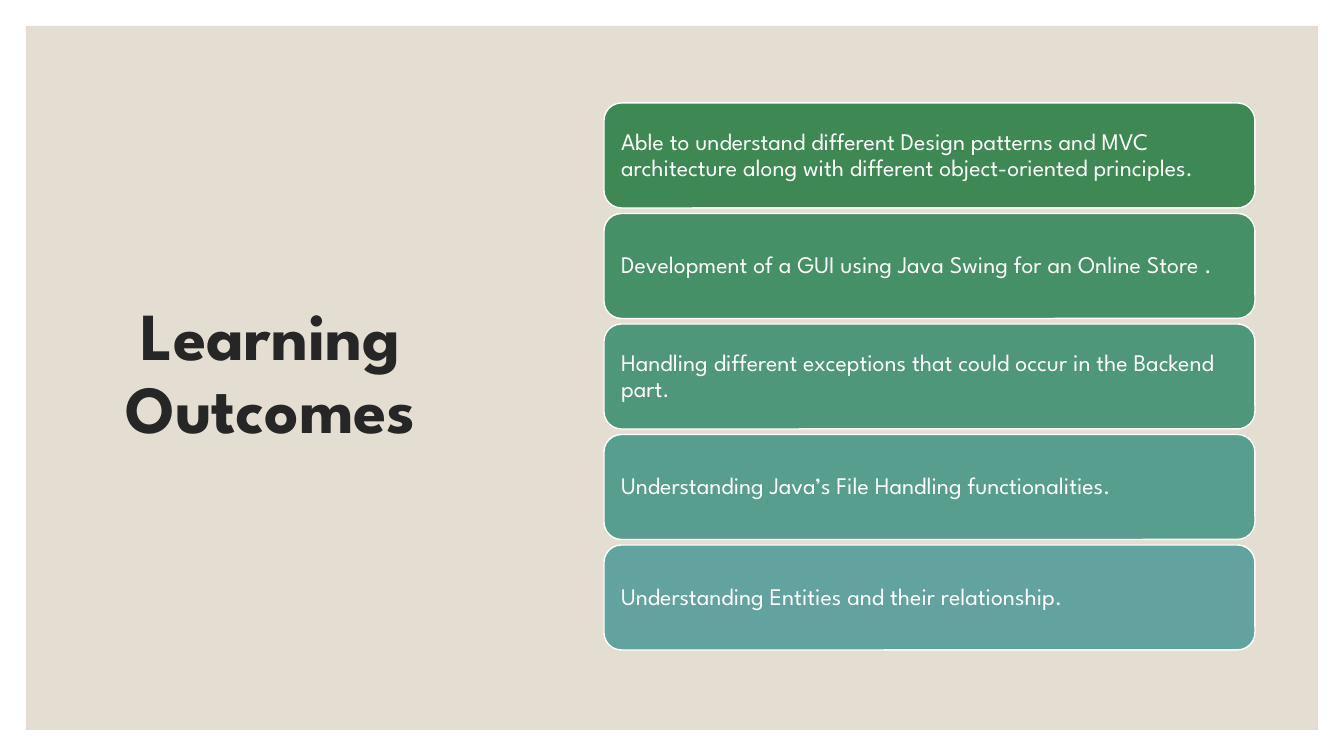
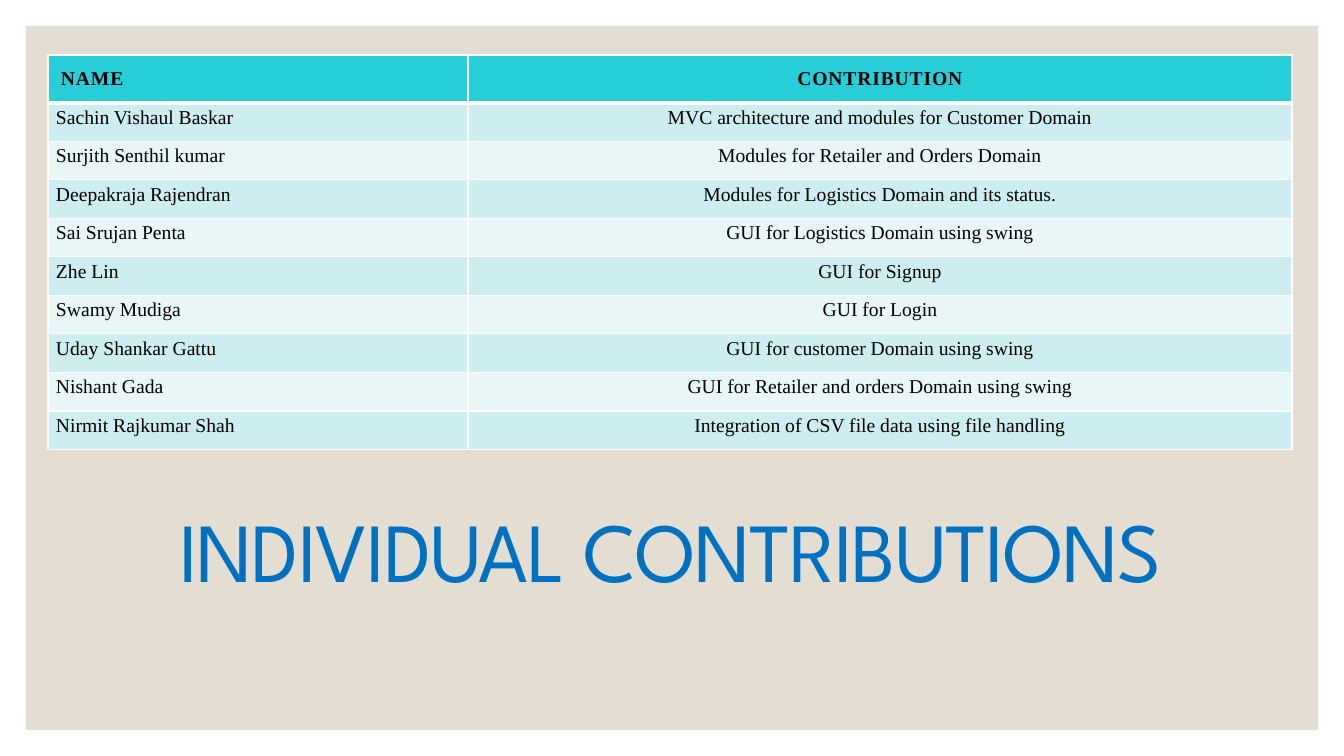
import dataclasses

import pptx
import pptx.dml.color
import pptx.enum.shapes
import pptx.enum.text
import pptx.oxml
import pptx.oxml.ns
import pptx.util

EMU_PER_PIXEL = 914400 / 100.8
ALIGN = pptx.enum.text.PP_ALIGN
ANCHOR = pptx.enum.text.MSO_ANCHOR


@dataclasses.dataclass(frozen=True)
class Theme:
    display_font: str = "League Spartan"
    table_font: str = "Times New Roman"
    paper: str = "E3DED1"
    white: str = "FFFFFF"
    black: str = "000000"
    title_dark: str = "262626"
    title_blue: str = "0070C0"
    bars: tuple = ("3E8853", "469067", "4E977B", "579E8E", "62A39F")
    table_header: str = "27CED7"
    table_bands: tuple = ("CDEDF0", "E8F6F8")
    title_size: int = 48
    banner_size: int = 60
    bar_size: int = 17
    table_size: int = 14


def pixels(value):
    return pptx.util.Emu(round(value * EMU_PER_PIXEL))


def rgb(value):
    return pptx.dml.color.RGBColor.from_string(value)


def write_text(frame, text, *, size, color, font, bold=False, align=ALIGN.LEFT,
               line_spacing=1.0, space_after=0, tracking=0):
    frame.word_wrap = True
    paragraph = frame.paragraphs[0]
    paragraph.alignment = align
    paragraph.line_spacing = line_spacing
    paragraph.space_after = pptx.util.Pt(space_after)
    run = paragraph.add_run()
    run.text = text
    run.font.name = font
    run.font.size = pptx.util.Pt(size)
    run.font.bold = bold
    run.font.color.rgb = rgb(color)
    if tracking:
        run.font._element.set("spc", str(round(tracking * 100)))


def set_margins(target, left, top, right, bottom):
    target.margin_left, target.margin_top = pixels(left), pixels(top)
    target.margin_right, target.margin_bottom = pixels(right), pixels(bottom)


def set_borders(cell, color, bottom_width=1):
    widths = {"lnL": 1, "lnR": 1, "lnT": 1, "lnB": bottom_width}
    properties = cell._tc.get_or_add_tcPr()
    for position, (side, width) in enumerate(widths.items()):
        properties.insert(position, pptx.oxml.parse_xml(
            f'<a:{side} {pptx.oxml.ns.nsdecls("a")} w="{pptx.util.Pt(width)}">'
            f'<a:solidFill><a:srgbClr val="{color}"/></a:solidFill></a:{side}>'))


class Deck:
    def __init__(self, theme):
        self.theme = theme
        self.presentation = pptx.Presentation()
        self.presentation.slide_width = pixels(1344)
        self.presentation.slide_height = pixels(756)
        self.slide = None

    def add_slide(self):
        layout = self.presentation.slide_layouts.get_by_name("Title Only")
        self.slide = self.presentation.slides.add_slide(layout)

    def add_master_band(self, left, top, width, height):
        band = self.add_box(left, top, width, height, fill=self.theme.paper)
        self.presentation.slide_master.shapes.element.insert(2, band.element)

    def add_title(self, text, left, top, width, height, **text_format):
        title = self.slide.shapes.title
        title.left, title.top = pixels(left), pixels(top)
        title.width, title.height = pixels(width), pixels(height)
        frame = title.text_frame
        frame.auto_size = pptx.enum.text.MSO_AUTO_SIZE.NONE
        frame.vertical_anchor = ANCHOR.MIDDLE
        write_text(frame, text, font=self.theme.display_font,
                   align=ALIGN.CENTER, space_after=6, **text_format)

    def add_box(self, left, top, width, height, fill, line=None, rounded=False):
        presets = pptx.enum.shapes.MSO_SHAPE
        preset = presets.ROUNDED_RECTANGLE if rounded else presets.RECTANGLE
        shape = self.slide.shapes.add_shape(
            preset, pixels(left), pixels(top), pixels(width), pixels(height))
        shape.shadow.inherit = False
        shape.fill.solid()
        shape.fill.fore_color.rgb = rgb(fill)
        if line:
            shape.line.color.rgb = rgb(line)
            shape.line.width = pptx.util.Pt(1)
        else:
            shape.line.fill.background()
        return shape

    def add_bars(self, texts, left, top, width, height, bar_height):
        pitch = (height - bar_height) / (len(texts) - 1)
        for index, (text, fill) in enumerate(zip(texts, self.theme.bars)):
            bar = self.add_box(left, top + index * pitch, width, bar_height,
                               fill=fill, line=self.theme.white, rounded=True)
            frame = bar.text_frame
            frame.vertical_anchor = ANCHOR.MIDDLE
            set_margins(frame, 12, 12, 12, 12)
            write_text(frame, text, size=self.theme.bar_size, color=self.theme.white,
                       font=self.theme.display_font, line_spacing=0.9)

    def add_table(self, rows, left, top, column_widths, height, header_height):
        theme = self.theme
        table = self.slide.shapes.add_table(
            len(rows), len(column_widths), pixels(left), pixels(top),
            pixels(sum(column_widths)), pixels(height)).table
        for column, width in zip(table.columns, column_widths):
            column.width = pixels(width)
        body_height = (height - header_height) / (len(rows) - 1)
        for row_index, texts in enumerate(rows):
            header = row_index == 0
            table.rows[row_index].height = pixels(header_height if header else body_height)
            fill = theme.table_header if header else theme.table_bands[(row_index - 1) % 2]
            for column_index, text in enumerate(texts):
                cell = table.cell(row_index, column_index)
                cell.fill.solid()
                cell.fill.fore_color.rgb = rgb(fill)
                set_borders(cell, theme.white, bottom_width=3 if header else 1)
                set_margins(cell, *((13, 13, 13, 13) if header else (8, 4, 8, 8)))
                cell.vertical_anchor = ANCHOR.TOP
                write_text(cell.text_frame, text, size=theme.table_size,
                           color=theme.black, font=theme.table_font, bold=header,
                           align=ALIGN.CENTER if column_index else ALIGN.LEFT,
                           tracking=0.6 if header else 0)


OUTCOMES = [
    "Able to understand different Design patterns and MVC architecture along with "
    "different object-oriented principles.",
    "Development of a GUI using Java Swing for an Online Store .",
    "Handling different exceptions that could occur in the Backend part.",
    "Understanding Java’s File Handling functionalities.",
    "Understanding Entities and their relationship.",
]

CONTRIBUTIONS = [
    ("NAME", "CONTRIBUTION"),
    ("Sachin Vishaul Baskar", "MVC architecture and modules for Customer Domain"),
    ("Surjith Senthil kumar", "Modules for Retailer and Orders Domain"),
    ("Deepakraja Rajendran", "Modules for Logistics Domain and its status."),
    ("Sai Srujan Penta", "GUI for Logistics Domain using swing"),
    ("Zhe Lin", "GUI for Signup"),
    ("Swamy Mudiga", "GUI for Login"),
    ("Uday Shankar Gattu", "GUI for customer Domain using swing"),
    ("Nishant Gada", "GUI for Retailer and orders Domain using swing"),
    ("Nirmit Rajkumar Shah", "Integration of CSV file data using file handling"),
]

theme = Theme()
deck = Deck(theme)

deck.add_slide()
deck.add_master_band(26, 26, 1292, 704)
deck.add_title("Learning Outcomes", 63, 61, 415, 629, size=theme.title_size,
               color=theme.title_dark, bold=True, line_spacing=0.9)
deck.add_bars(OUTCOMES, 604, 103, 651, 547, bar_height=105)

deck.add_slide()
deck.add_title("INDIVIDUAL CONTRIBUTIONS", 81, 516, 1179, 88, size=theme.banner_size,
               color=theme.title_blue, line_spacing=0.73, tracking=-1)
deck.add_table(CONTRIBUTIONS, 48, 55, (420, 824), 394, header_height=47)

deck.presentation.save("out.pptx")
